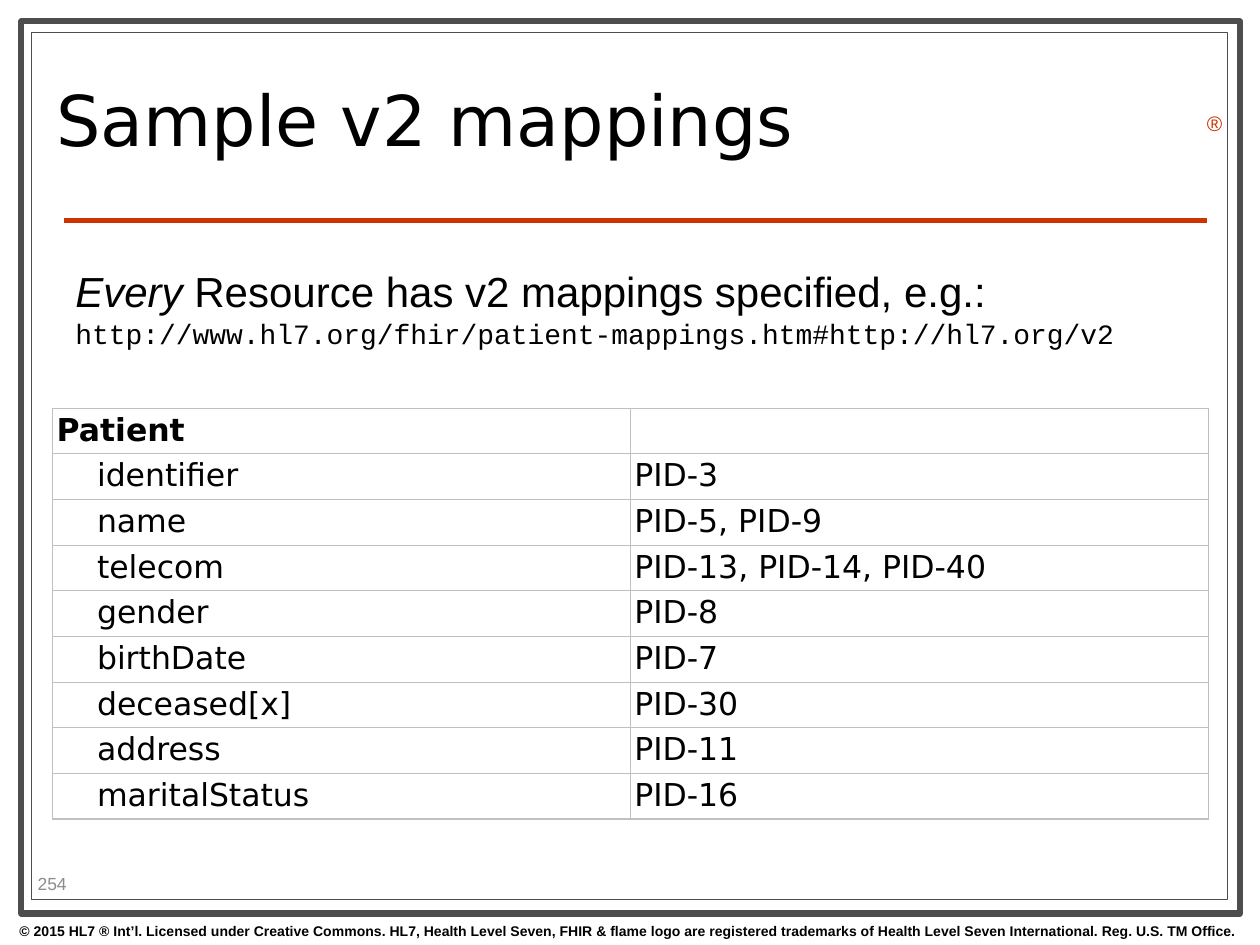
from typing import NamedTuple

from lxml.etree import SubElement
from pptx import Presentation
from pptx.dml.color import RGBColor
from pptx.enum.shapes import MSO_CONNECTOR as Connector, MSO_SHAPE as Shape
from pptx.enum.text import MSO_ANCHOR as Anchor, PP_ALIGN as Align
from pptx.oxml.ns import qn
from pptx.util import Inches, Pt

COLORS = {
    "paper": "FFFFFF",
    "ink": "000000",
    "frame": "4D4D4D",
    "accent": "CC3300",
    "number": "8C8C8C",
    "grid": "C0C0C0",
}


class Frame(NamedTuple):
    left: float
    top: float
    width: float
    height: float
    weight: float


class Mapping(NamedTuple):
    element: str
    fields: str


FRAMES = [Frame(0.17, 0.17, 9.67, 7.08, 3.5), Frame(0.25, 0.26, 9.49, 6.88, 0.75)]

MAPPINGS = [
    Mapping("Patient", ""),
    Mapping("identifier", "PID-3"),
    Mapping("name", "PID-5, PID-9"),
    Mapping("telecom", "PID-13, PID-14, PID-40"),
    Mapping("gender", "PID-8"),
    Mapping("birthDate", "PID-7"),
    Mapping("deceased[x]", "PID-30"),
    Mapping("address", "PID-11"),
    Mapping("maritalStatus", "PID-16"),
]

COPYRIGHT = (
    "© 2015 HL7 ® Int’l. Licensed under Creative Commons. HL7, Health Level Seven, "
    "FHIR & flame logo are registered trademarks of Health Level Seven International. "
    "Reg. U.S. TM Office."
)


def rgb(color: str) -> RGBColor:
    return RGBColor.from_string(COLORS[color])


def write(paragraph, text: str, *, size: float, font: str = "Arial",
          color: str = "ink", bold: bool = False, italic: bool = False) -> None:
    run = paragraph.add_run()
    run.text = text
    run.font.name = font
    run.font.size = Pt(size)
    run.font.bold = bold
    run.font.italic = italic
    run.font.color.rgb = rgb(color)


def add_area(slide, left: float, top: float, width: float, height: float,
             anchor: Anchor = Anchor.TOP):
    area = slide.shapes.add_textbox(
        Inches(left), Inches(top), Inches(width), Inches(height)).text_frame
    area.word_wrap = True
    area.vertical_anchor = anchor
    return area


def draw_frame(slide, frame: Frame) -> None:
    border = slide.shapes.add_shape(
        Shape.RECTANGLE, Inches(frame.left), Inches(frame.top),
        Inches(frame.width), Inches(frame.height))
    border.shadow.inherit = False
    border.fill.solid()
    border.fill.fore_color.rgb = rgb("paper")
    border.line.color.rgb = rgb("frame")
    border.line.width = Pt(frame.weight)


def draw_rule(slide, left: float, right: float, y: float) -> None:
    rule = slide.shapes.add_connector(
        Connector.STRAIGHT, Inches(left), Inches(y), Inches(right), Inches(y))
    rule.line.color.rgb = rgb("accent")
    rule.line.width = Pt(3)
    SubElement(rule._element.spPr, qn("a:effectLst"))


def fill_cell(cell, text: str, bold: bool, indent: float) -> None:
    properties = cell._tc.get_or_add_tcPr()
    for side in ("lnL", "lnR", "lnT", "lnB"):
        edge = SubElement(properties, qn(f"a:{side}"), w=str(Pt(0.75)))
        SubElement(SubElement(edge, qn("a:solidFill")), qn("a:srgbClr"),
                   val=COLORS["grid"])
    cell.fill.solid()
    cell.fill.fore_color.rgb = rgb("paper")
    cell.margin_left = Inches(0.03 + indent)
    cell.margin_right = cell.margin_top = cell.margin_bottom = Inches(0.03)
    if text:
        write(cell.text_frame.paragraphs[0], text, size=18, font="DejaVu Sans", bold=bold)


def draw_mappings(slide, mappings: list[Mapping]) -> None:
    table = slide.shapes.add_table(
        len(mappings), 2, Inches(0.42), Inches(3.24), Inches(9.17), Inches(3.26)).table
    table.first_row = False
    table.horz_banding = False
    for row, mapping in enumerate(mappings):
        is_resource = row == 0
        fill_cell(table.cell(row, 0), mapping.element, is_resource,
                  0 if is_resource else 0.32)
        fill_cell(table.cell(row, 1), mapping.fields, False, 0)


def main() -> None:
    deck = Presentation()
    deck.slide_width, deck.slide_height = Inches(10), Inches(7.5)
    slide = deck.slides.add_slide(deck.slide_layouts[6])

    for frame in FRAMES:
        draw_frame(slide, frame)
    draw_rule(slide, 0.51, 9.58, 1.75)

    copyright_line = add_area(slide, -0.01, 7.27, 10, 0.23).paragraphs[0]
    copyright_line.alignment = Align.CENTER
    write(copyright_line, COPYRIGHT, size=8, bold=True)

    registered = add_area(slide, 9.48, 0.83, 0.31, 0.3).paragraphs[0]
    write(registered, "®", size=12, color="accent")

    title = add_area(slide, 0.35, 0.36, 7.17, 1.29, Anchor.MIDDLE).paragraphs[0]
    title.line_spacing = 0.8
    write(title, "Sample v2 mappings", size=40, font="DejaVu Sans")

    page_number = add_area(slide, 0.2, 6.89, 0.79, 0.24, Anchor.MIDDLE).paragraphs[0]
    write(page_number, "254", size=10, color="number")

    intro = add_area(slide, 0.5, 2.06, 9.58, 0.77)
    statement = intro.paragraphs[0]
    write(statement, "Every", size=24, italic=True)
    write(statement, " Resource has v2 mappings specified, e.g.:", size=24)
    write(intro.add_paragraph(),
          "http://www.hl7.org/fhir/patient-mappings.htm#http://hl7.org/v2",
          size=16, font="Courier New")

    draw_mappings(slide, MAPPINGS)
    deck.save("out.pptx")


if __name__ == "__main__":
    main()
